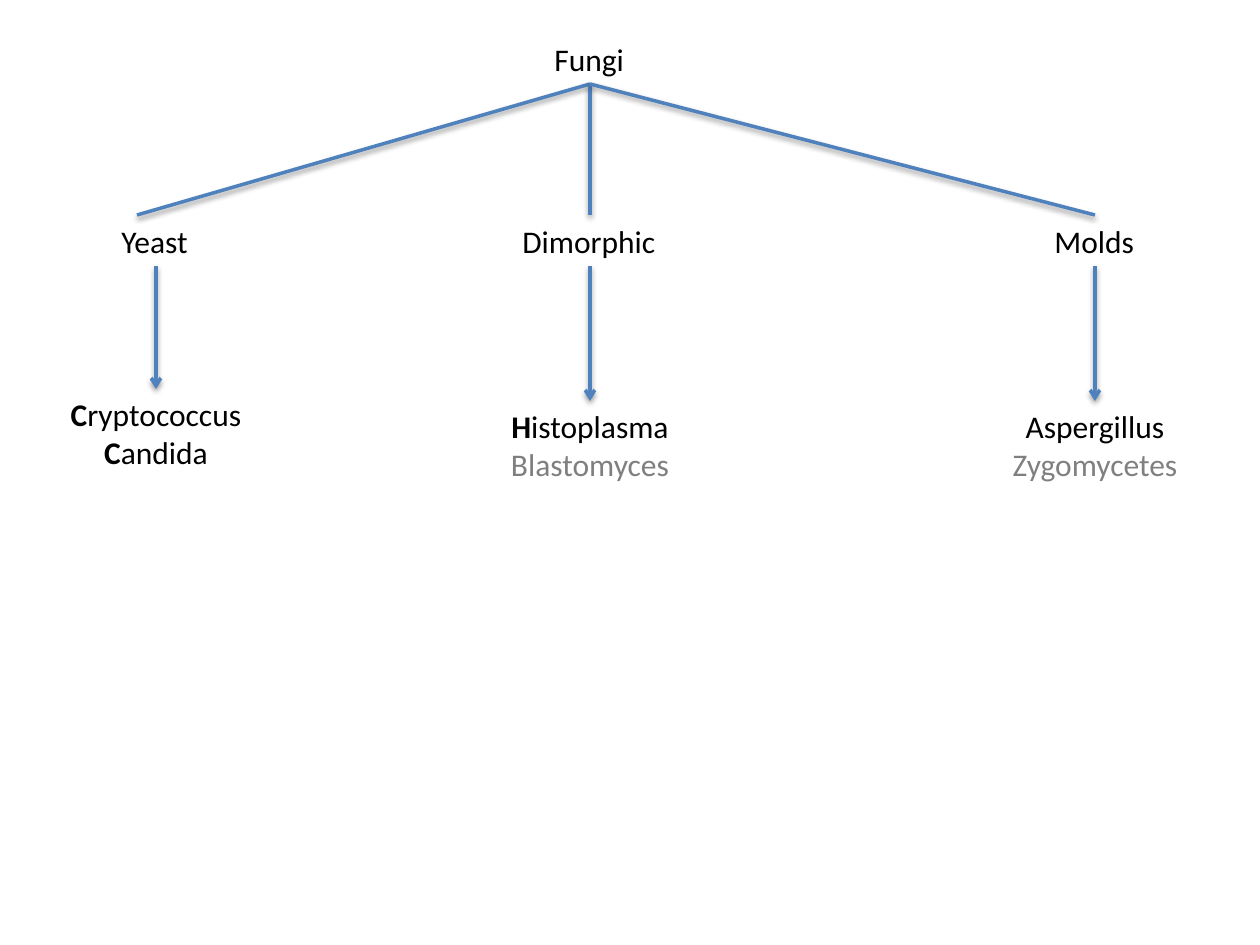
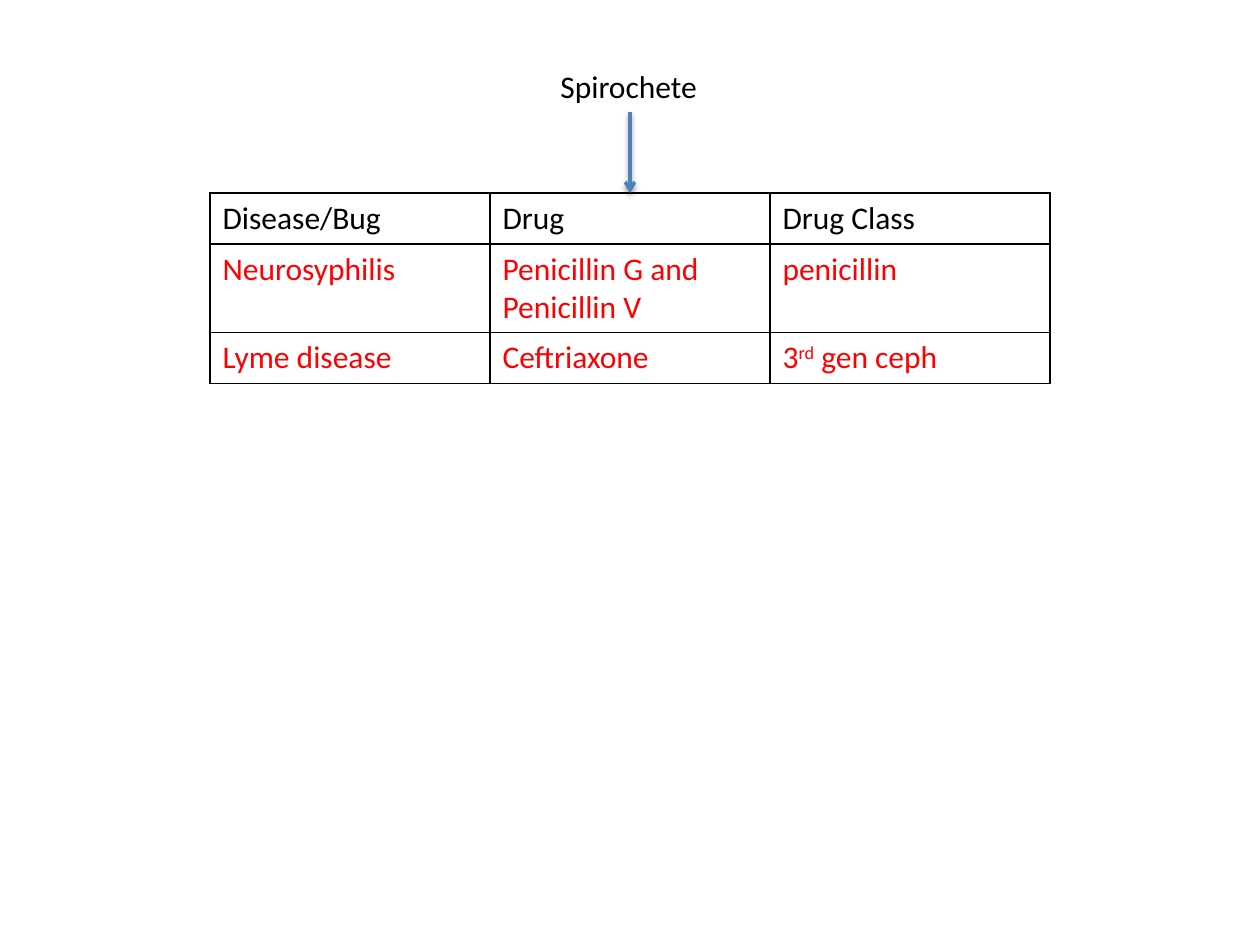
from dataclasses import dataclass

from lxml import etree
from pptx import Presentation
from pptx import util as u
from pptx.dml.color import RGBColor
from pptx.enum import shapes, text
from pptx.oxml import ns

EMU_PER_PX = 914400 / 126
FONT = "Calibri"
COLOURS = {
    "ink": "000000",
    "link": "4F81BD",
    "blastomyces": "7F7F7F",
    "zygomycetes": "808080",
    "treatment": "FF0000",
}
LABEL_HEIGHT = 50
GENERA_HEIGHT = 89


@dataclass(frozen=True)
class Span:
    words: str
    colour: str = "ink"
    bold: bool = False
    raised: bool = False


Line = list[Span]


@dataclass(frozen=True)
class Branch:
    form: str
    centre: int
    fork_x: int
    form_width: int
    genera: list[Line]
    genera_width: int
    genera_top: int


BRANCHES = [
    Branch("Yeast", 156, 137, 94,
           [[Span("C", bold=True), Span("ryptococcus")],
            [Span("C", bold=True), Span("andida")]], 199, 389),
    Branch("Dimorphic", 590, 590, 160,
           [[Span("H", bold=True), Span("istoplasma")],
            [Span("Blastomyces", "blastomyces")]], 185, 401),
    Branch("Molds", 1095, 1095, 106,
           [[Span("Aspergillus")],
            [Span("Zygomycetes", "zygomycetes")]], 195, 401),
]

HEADINGS = ["Disease/Bug", "Drug", "Drug Class"]
TREATMENTS = [
    [[Span("Neurosyphilis", "treatment")],
     [Span("Penicillin G and Penicillin V", "treatment")],
     [Span("penicillin", "treatment")]],
    [[Span("Lyme disease", "treatment")],
     [Span("Ceftriaxone", "treatment")],
     [Span("3", "treatment"), Span("rd", "treatment", raised=True),
      Span(" gen ceph", "treatment")]],
]
ROW_HEIGHTS = [51, 88, 51]


def px(length: float) -> u.Emu:
    return u.Emu(round(length * EMU_PER_PX))


def rgb(colour: str) -> RGBColor:
    return RGBColor.from_string(COLOURS[colour])


def write_line(paragraph, line: Line) -> None:
    for span in line:
        run = paragraph.add_run()
        run.text = span.words
        run.font.name = FONT
        run.font.size = u.Pt(18)
        run.font.bold = span.bold
        run.font.color.rgb = rgb(span.colour)
        if span.raised:
            run._r.get_or_add_rPr().set("baseline", "30000")


def add_label(slide, centre: int, top: int, width: int, height: int,
              lines: list[Line], align=text.PP_ALIGN.LEFT) -> None:
    label = slide.shapes.add_textbox(
        px(centre - width / 2), px(top), px(width), px(height))
    frame = label.text_frame
    frame.word_wrap = False
    frame.auto_size = text.MSO_AUTO_SIZE.SHAPE_TO_FIT_TEXT
    for index, line in enumerate(lines):
        paragraph = frame.add_paragraph() if index else frame.paragraphs[0]
        paragraph.alignment = align
        write_line(paragraph, line)


def add_link(slide, start: tuple[int, int], end: tuple[int, int],
             arrow: bool = False) -> None:
    link = slide.shapes.add_connector(
        shapes.MSO_CONNECTOR.STRAIGHT, *map(px, start + end))
    link.line.color.rgb = rgb("link")
    link.line.width = u.Pt(2)
    if arrow:
        etree.SubElement(link.line._get_or_add_ln(), ns.qn("a:tailEnd"), type="arrow")


def add_borders(cell) -> None:
    properties = cell._tc.get_or_add_tcPr()
    for side in ("lnL", "lnR", "lnT", "lnB"):
        border = etree.SubElement(properties, ns.qn(f"a:{side}"), w=str(u.Pt(1)))
        fill = etree.SubElement(border, ns.qn("a:solidFill"))
        etree.SubElement(fill, ns.qn("a:srgbClr"), val=COLOURS["ink"])


def draw_fungi(slide) -> None:
    fork = (590, 84)
    add_label(slide, fork[0], 34, 96, LABEL_HEIGHT, [[Span("Fungi")]])
    for branch in BRANCHES:
        add_link(slide, fork, (branch.fork_x, 215))
        add_label(slide, branch.centre, 216, branch.form_width, LABEL_HEIGHT,
                  [[Span(branch.form)]])
        add_link(slide, (branch.centre, 266),
                 (branch.centre, branch.genera_top), arrow=True)
        add_label(slide, branch.centre, branch.genera_top, branch.genera_width,
                  GENERA_HEIGHT, branch.genera, text.PP_ALIGN.CENTER)


def draw_spirochete(slide) -> None:
    centre, table_top, table_width = 630, 193, 840
    add_label(slide, centre, 61, 164, LABEL_HEIGHT, [[Span("Spirochete")]])
    rows = [[[Span(heading)] for heading in HEADINGS], *TREATMENTS]
    table = slide.shapes.add_table(
        len(rows), len(HEADINGS), px(centre - table_width / 2), px(table_top),
        px(table_width), px(sum(ROW_HEIGHTS))).table
    table.first_row = table.horz_banding = False
    for column in table.columns:
        column.width = px(table_width / len(HEADINGS))
    for row, height, lines in zip(table.rows, ROW_HEIGHTS, rows):
        row.height = px(height)
        for cell, line in zip(row.cells, lines):
            add_borders(cell)
            cell.fill.background()
            write_line(cell.text_frame.paragraphs[0], line)
    add_link(slide, (centre, 112), (centre, table_top), arrow=True)


def main() -> None:
    deck = Presentation()
    deck.slide_width, deck.slide_height = px(1260), px(945)
    for draw in (draw_fungi, draw_spirochete):
        draw(deck.slides.add_slide(deck.slide_layouts[6]))
    deck.save("out.pptx")


if __name__ == "__main__":
    main()
